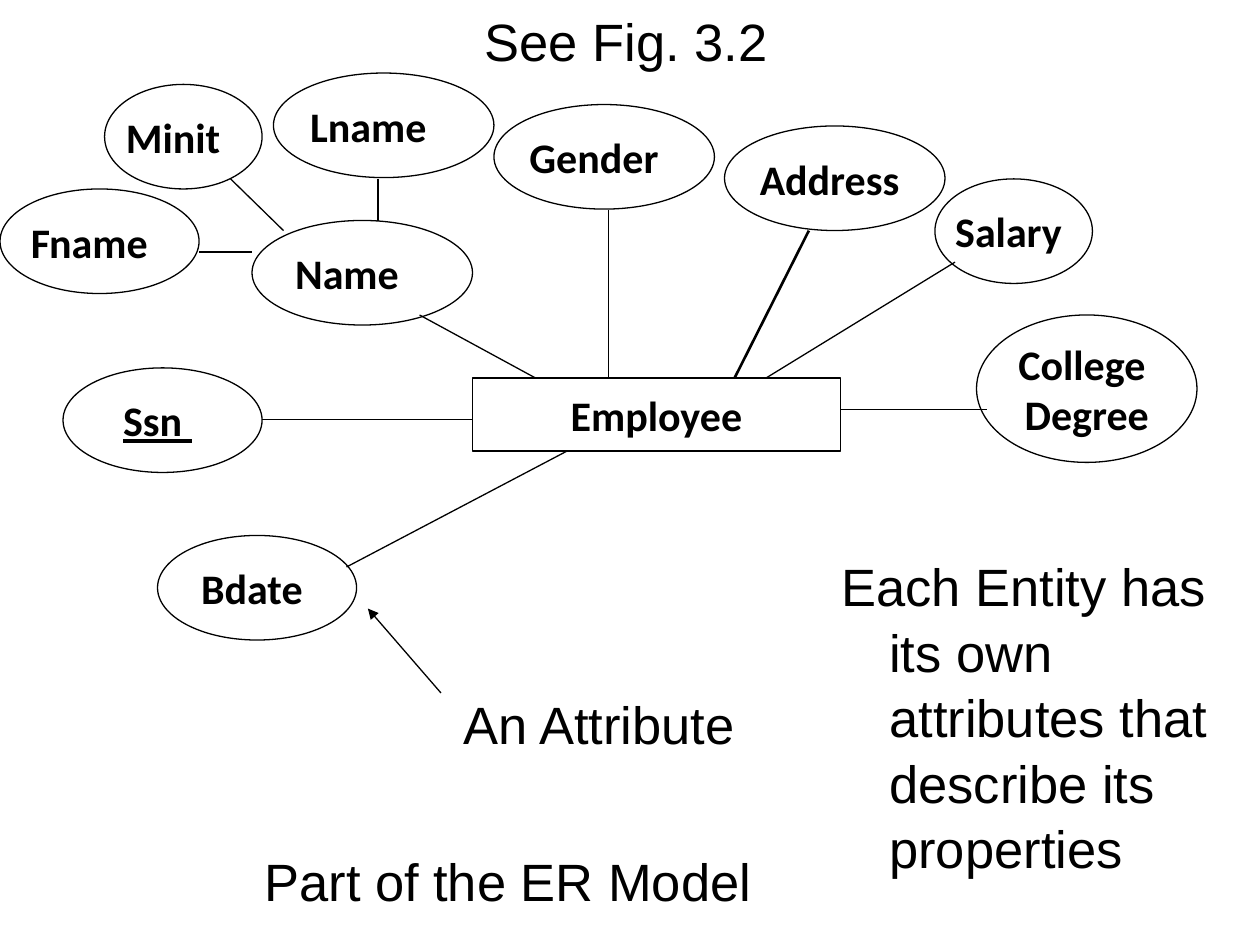
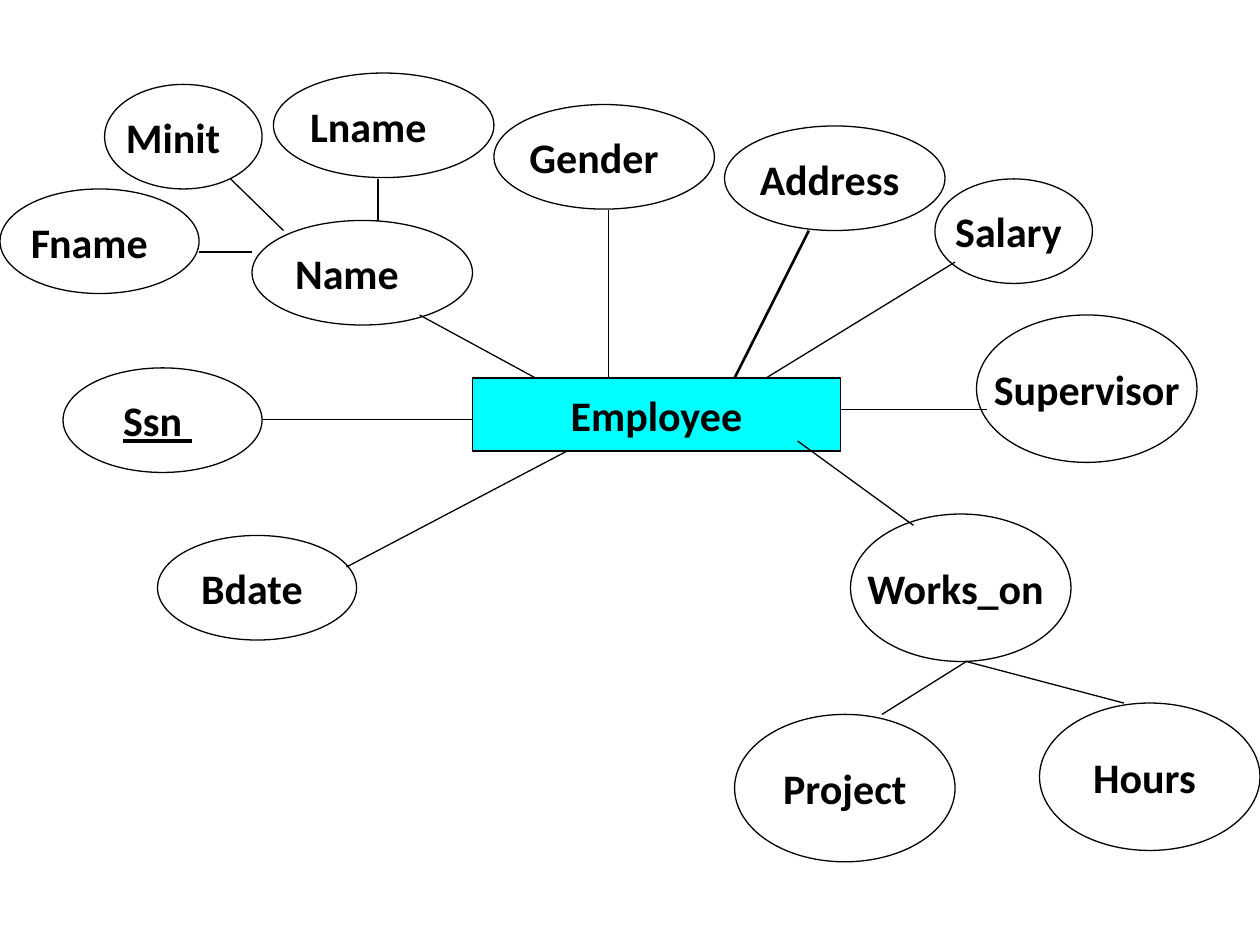
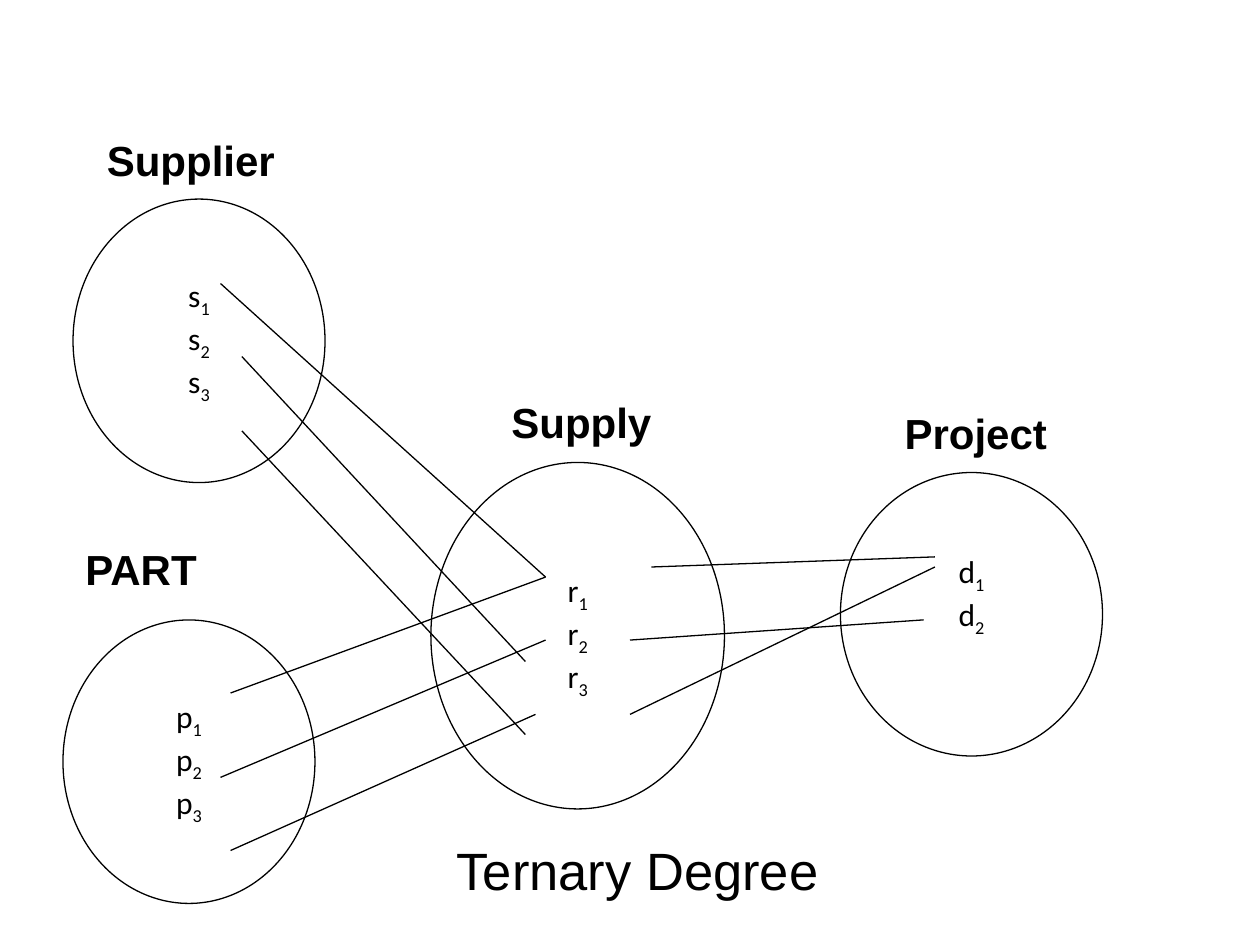
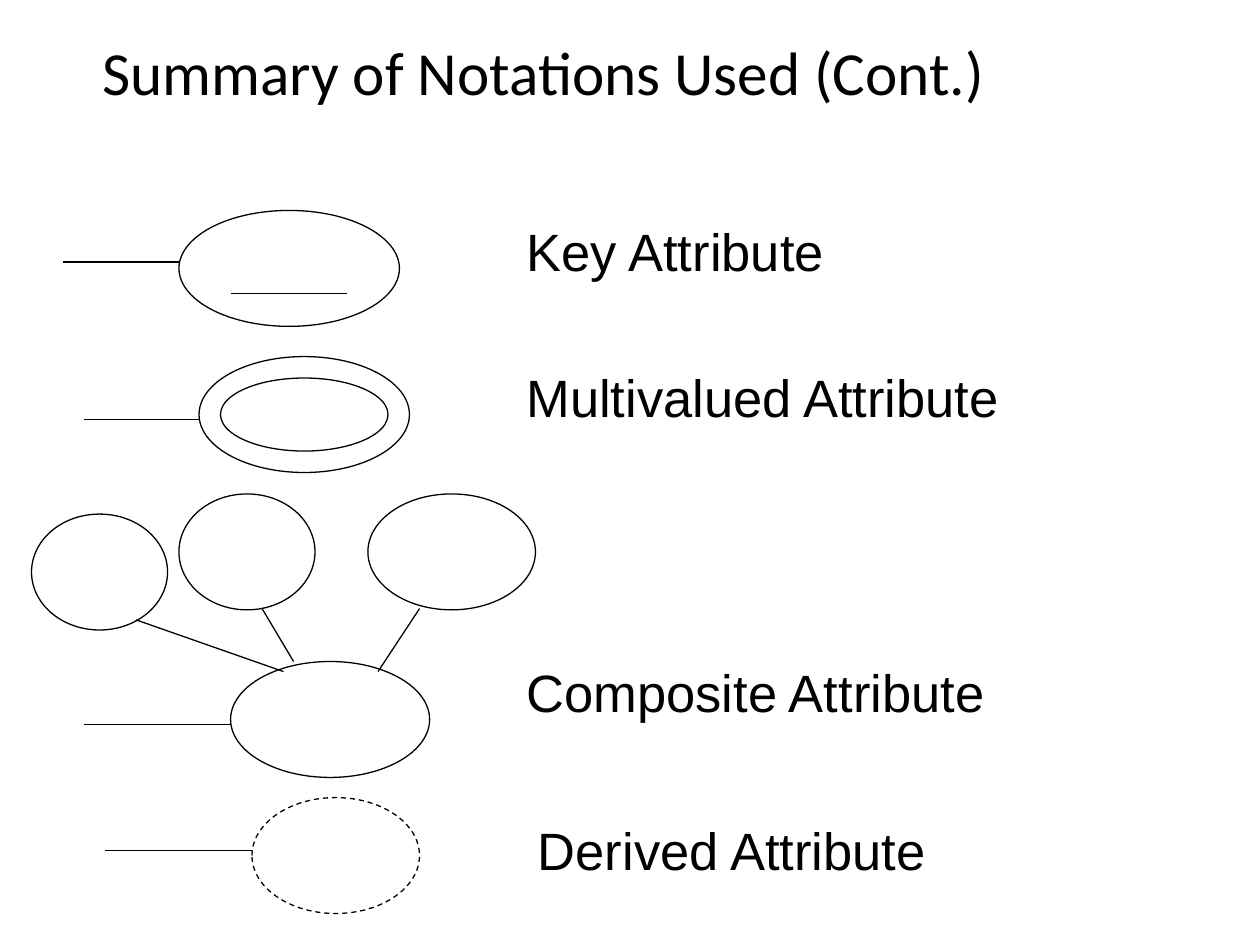
from dataclasses import dataclass

from lxml.etree import SubElement
from pptx import Presentation
from pptx.dml.color import RGBColor
from pptx.enum.dml import MSO_LINE_DASH_STYLE as Dash
from pptx.enum.shapes import MSO_CONNECTOR as Connector
from pptx.enum.shapes import MSO_SHAPE as Preset
from pptx.enum.text import MSO_ANCHOR as Anchor
from pptx.enum.text import PP_ALIGN as Align
from pptx.oxml.ns import qn
from pptx.util import Inches, Pt

BLACK = RGBColor(0x00, 0x00, 0x00)
CYAN = RGBColor(0x00, 0xFF, 0xFF)
DIAGRAM_FONT = "Calibri"
NOTE_FONT = "Arial"
HANG = Inches(0.38)
INSET = 0.1
THIN = 0.75
SPACE = 0.08

TITLE_ONLY, BLANK = 5, 6

EMPLOYEE_ATTRIBUTES = [
    ("Salary", (7.42, 1.42, 1.25, 0.83), 1),
    ("Address", (5.75, 1, 1.75, 0.83), 1),
    ("Gender", (3.92, 0.83, 1.75, 0.83), 2),
    ("Name", (2, 1.75, 1.75, 0.83), 3),
    ("Lname", (2.17, 0.58, 1.75, 0.83), 3),
    ("Minit", (0.83, 0.67, 1.25, 0.83), 2),
    ("Fname", (0, 1.5, 1.58, 0.83), 2),
    ("Bdate", (1.25, 4.25, 1.58, 0.83), 1),
]
EMPLOYEE_LINKS = [
    ((7.58, 2.08), (6.08, 3), THIN),
    ((5.83, 3), (6.42, 1.83), 1.5),
    ((4.83, 1.67), (4.83, 3), 1),
    ((3.33, 2.5), (4.25, 3), THIN),
    ((3, 1.42), (3, 1.75), THIN),
    ((1.83, 1.42), (2.25, 1.83), THIN),
    ((1.58, 2), (2, 2), THIN),
    ((2.08, 3.33), (3.75, 3.33), THIN),
    ((4.5, 3.58), (2.75, 4.5), THIN),
    ((6.67, 3.25), (7.83, 3.25), THIN),
]
RIGHT_ATTRIBUTE = (7.75, 2.5, 1.75, 1.17)


def style_paragraph(paragraph, font_name, size, bold=False, align=None):
    properties = paragraph._p.get_or_add_pPr()
    properties.set("marL", str(HANG))
    properties.set("indent", str(-HANG))
    paragraph.alignment = align
    font = paragraph.font
    font.name, font.size, font.bold = font_name, Pt(size), bold
    font.color.rgb = BLACK


@dataclass
class Region:
    slide: object
    left: float = 0
    top: float = 0

    def place(self, box):
        left, top, width, height = box
        return (Inches(self.left + left), Inches(self.top + top),
                Inches(width), Inches(height))

    def outline(self, box, preset=Preset.OVAL, fill=None, dashed=False):
        shape = self.slide.shapes.add_shape(preset, *self.place(box))
        shape.shadow.inherit = False
        if fill is None:
            shape.fill.background()
        else:
            shape.fill.solid()
            shape.fill.fore_color.rgb = fill
        shape.line.color.rgb = BLACK
        shape.line.width = Pt(THIN)
        if dashed:
            shape.line.dash_style = Dash.DASH
        return shape

    def link(self, start, end, width=THIN, arrow=False):
        points = [Inches(value) for value in (
            self.left + start[0], self.top + start[1],
            self.left + end[0], self.top + end[1])]
        connector = self.slide.shapes.add_connector(Connector.STRAIGHT, *points)
        connector.line.color.rgb = BLACK
        connector.line.width = Pt(width)
        if arrow:
            SubElement(connector.line._get_or_add_ln(), qn("a:tailEnd"), type="triangle")
        SubElement(connector._element.spPr, qn("a:effectLst"))

    def note(self, text, box, size=30, bold=False, align=Align.LEFT):
        frame = self.slide.shapes.add_textbox(*self.place(box)).text_frame
        frame.word_wrap = True
        paragraph = frame.paragraphs[0]
        paragraph.text = text
        style_paragraph(paragraph, NOTE_FONT, size, bold, align)
        paragraph.line_spacing = 1.04

    def label(self, text, box, spaces=0, underline=False, **outline_options):
        frame = centre_frame(self.outline(box, **outline_options))
        frame.margin_right = Inches(INSET + spaces * SPACE)
        frame.text = text
        for paragraph in frame.paragraphs:
            style_paragraph(paragraph, DIAGRAM_FONT, 24, True, Align.CENTER)
            if underline:
                paragraph.font.underline = True


def centre_frame(shape):
    frame = shape.text_frame
    frame.word_wrap = False
    frame.vertical_anchor = Anchor.MIDDLE
    return frame


def draw_employee(region, fill=None):
    region.label("Employee", (3.75, 3, 2.92, 0.58), preset=Preset.RECTANGLE, fill=fill)
    for name, box, spaces in EMPLOYEE_ATTRIBUTES:
        region.label(name, box, spaces)
    region.label("Ssn ", (0.5, 2.92, 1.58, 0.83), 1, underline=True)
    for start, end, width in EMPLOYEE_LINKS:
        region.link(start, end, width)


def draw_member_set(region, size, heading, heading_box, letter, count,
                    align=Align.LEFT, lift=0):
    frame = centre_frame(region.outline((0, 0, *size)))
    frame.margin_bottom = Inches(0.05 + lift)
    for number in range(1, count + 1):
        paragraph = frame.paragraphs[0] if number == 1 else frame.add_paragraph()
        paragraph.add_run().text = letter
        subscript = paragraph.add_run()
        subscript.text = str(number)
        subscript._r.get_or_add_rPr().set("baseline", "-25000")
        style_paragraph(paragraph, DIAGRAM_FONT, 18, align=Align.CENTER)
    region.note(heading, heading_box, 24, True, align)


def draw_key_notation(region):
    region.outline((1.42, 0, 1.75, 0.92))
    region.link((1.42, 0.41), (0.5, 0.41))
    region.link((1.83, 0.66), (2.75, 0.66))
    region.note("Key Attribute", (4.08, 0, 3.67, 0.6))


def draw_multivalued_notation(region):
    region.outline((1.58, 0, 1.67, 0.92))
    region.outline((1.75, 0.17, 1.33, 0.58))
    region.link((1.58, 0.5), (0.67, 0.5))
    region.note("Multivalued Attribute", (4.08, 0, 4.92, 0.6))


def draw_composite_notation(region):
    for left, top, width in [(1.83, 1.33, 1.58), (2.92, 0, 1.33),
                             (1.42, 0, 1.08), (0.25, 0.16, 1.08)]:
        region.outline((left, top, width, 0.92))
    for start, end in [((1.08, 1), (2.25, 1.41)), ((2.08, 0.91), (2.33, 1.33)),
                       ((1.83, 1.83), (0.67, 1.83)), ((3, 1.41), (3.33, 0.91))]:
        region.link(start, end)
    region.note("Composite Attribute", (4.08, 1.25, 4.92, 0.6))


def draw_derived_notation(region):
    region.outline((2, 0, 1.33, 0.92), dashed=True)
    region.link((2, 0.42), (0.83, 0.42))
    region.note("Derived Attribute", (4.17, 0.09, 4.08, 0.6))


def build_attributes_slide(slide):
    region = Region(slide)
    draw_employee(region)
    region.label("College \nDegree", RIGHT_ATTRIBUTE)
    region.link((3.5, 5.5), (2.92, 4.83), arrow=True)
    region.note("See Fig. 3.2", (3.75, 0, 3.33, 0.6))
    region.note("An Attribute", (3.58, 5.42, 2.58, 0.6))
    region.note("Part of the ER Model", (2, 6.67, 4.92, 0.6))
    region.note("Each Entity has its own attributes that describe its properties",
                (6.58, 4.33, 3.42, 2.6))


def build_works_on_slide(slide):
    region = Region(slide)
    draw_employee(region, CYAN)
    region.label("Supervisor", RIGHT_ATTRIBUTE)
    region.label("Works_on", (6.75, 4.08, 1.75, 1.17), 1)
    region.label("Project", (5.83, 5.67, 1.75, 1.17))
    region.label("Hours", (8.25, 5.58, 1.75, 1.17), 1)
    region.link((6.33, 3.5), (7.25, 4.17))
    for end in [(7, 5.67), (8.92, 5.58)]:
        region.link((7.67, 5.25), end)


def build_ternary_slide(slide):
    draw_member_set(Region(slide, 0.58, 1.58), (2, 2.25), "Supplier",
                    (0.17, -0.58, 2.17, 0.5), "s", 3)
    draw_member_set(Region(slide, 3.42, 3.67), (2.33, 2.75), "Supply",
                    (-0.14, -0.59, 2.67, 0.5), "r", 3, Align.CENTER)
    draw_member_set(Region(slide, 6.67, 3.75), (2.08, 2.25), "Project",
                    (-0.09, -0.58, 2.33, 0.5), "d", 2, Align.CENTER, lift=0.3)
    draw_member_set(Region(slide, 0.5, 4.92), (2, 2.25), "PART",
                    (0.08, -0.67, 1.92, 0.5), "p", 3)
    region = Region(slide)
    for start, end in [
        ((1.75, 2.25), (4.33, 4.58)), ((1.92, 2.83), (4.17, 5.25)),
        ((1.92, 3.42), (4.17, 5.83)), ((7.42, 4.42), (5.17, 4.5)),
        ((7.42, 4.5), (5, 5.67)), ((7.33, 4.92), (5, 5.08)),
        ((4.33, 4.58), (1.83, 5.5)), ((4.33, 5.08), (1.75, 6.17)),
        ((4.25, 5.67), (1.83, 6.75)),
    ]:
        region.link(start, end)
    region.note("Ternary Degree", (3.02, 6.58, 4.08, 0.6), align=Align.CENTER)


def build_notation_slide(slide):
    title = slide.shapes.title
    title.left, title.top, title.width, title.height = Region(slide).place(
        (0, 0.13, 8.63, 0.87))
    title.text_frame.vertical_anchor = Anchor.MIDDLE
    paragraph = title.text_frame.paragraphs[0]
    paragraph.text = "Summary of Notations Used (Cont.)"
    paragraph.alignment = Align.CENTER
    font = paragraph.font
    font.name, font.size = DIAGRAM_FONT, Pt(35)
    font.color.rgb = BLACK
    for draw, top in [(draw_key_notation, 1.67), (draw_multivalued_notation, 2.83),
                      (draw_composite_notation, 3.92), (draw_derived_notation, 6.33)]:
        draw(Region(slide, top=top))


def main():
    presentation = Presentation()
    presentation.slide_width, presentation.slide_height = Inches(10), Inches(7.5)
    for build, layout in [(build_attributes_slide, BLANK), (build_works_on_slide, BLANK),
                          (build_ternary_slide, BLANK), (build_notation_slide, TITLE_ONLY)]:
        build(presentation.slides.add_slide(presentation.slide_layouts[layout]))
    presentation.save("out.pptx")


if __name__ == "__main__":
    main()
